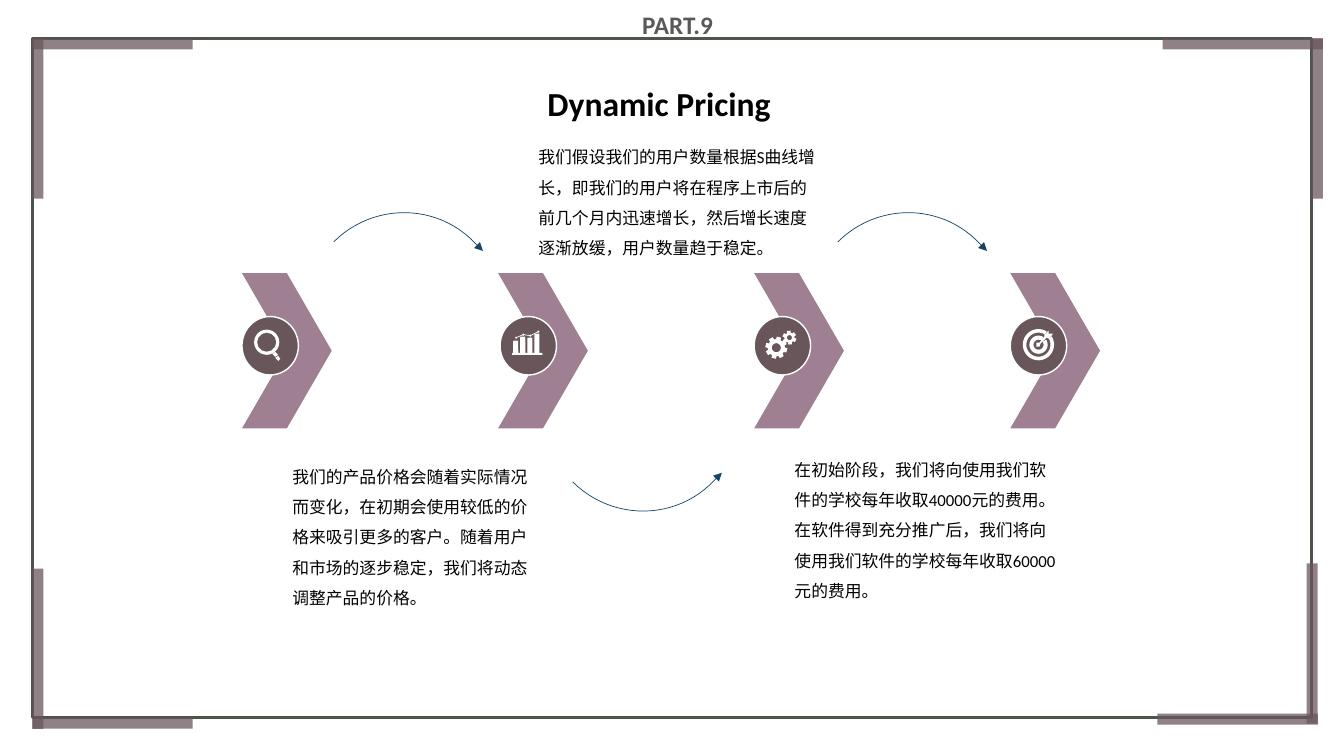
from math import cos, sin, radians
from lxml.etree import SubElement as Sub
from pptx import Presentation
from pptx.dml.color import RGBColor as RGB
from pptx.enum.shapes import MSO_SHAPE as Kind
from pptx.enum.text import MSO_ANCHOR as Anchor, MSO_AUTO_SIZE as Fit, PP_ALIGN as Align
from pptx.oxml.ns import qn
from pptx.util import Inches, Pt

HUES = {"frame": "4C544C", "dark": "69565B", "mauve": "9F7F92", "white": "FFFFFF",
        "arrow": "12456B", "grey": "595959", "black": "000000"}


def paint(shape, fill=None, line=None, width=1):
    shape.shadow.inherit = False
    if fill:
        shape.fill.solid()
        shape.fill.fore_color.rgb = RGB.from_string(HUES[fill])
    else:
        shape.fill.background()
    if line:
        shape.line.color.rgb = RGB.from_string(HUES[line])
        shape.line.width = Pt(width)
    else:
        shape.line.fill.background()
    return shape


def arc(x, y, r, start=0, end=360):
    turns = [radians(start + (end - start) * i / 36) for i in range(37)]
    return [(x + r * cos(t), y + r * sin(t)) for t in turns]


deck = Presentation()
deck.slide_width, deck.slide_height = Inches(13.33), Inches(7.5)
slide = deck.slides.add_slide(deck.slide_layouts[5])
shapes = slide.shapes

# Frame and its corner bars
frame = shapes.add_shape(Kind.RECTANGLE, Inches(0.32), Inches(0.38), Inches(12.69), Inches(6.74))
paint(frame, line="frame", width=2.5)
LONG, THIN = 1.59, 0.11
corners = [(0.32, 0.38, 0.32, 0.38), (11.53, 0.38, 13.01, 0.38),
           (0.32, 7.12, 0.32, 5.64), (11.48, 7.08, 12.96, 5.59)]
for flat_x, flat_y, tall_x, tall_y in corners:
    for x, y, w, h in [(flat_x, flat_y, LONG, THIN), (tall_x, tall_y, THIN, LONG)]:
        bar = shapes.add_shape(Kind.RECTANGLE, Inches(x), Inches(y), Inches(w), Inches(h))
        paint(bar, "dark")
        hue = bar.fill._xPr.find(qn("a:solidFill"))[0]
        Sub(hue, qn("a:alpha")).set("val", "74000")

# Chevrons, then the discs on them
for i in range(4):
    step = shapes.add_shape(Kind.CHEVRON, Inches(2.4 + 2.54 * i), Inches(2.71),
                            Inches(0.89), Inches(1.54))
    step.adjustments[0] = 0.5
    paint(step, "mauve")
for x in (2.4, 4.96, 7.48, 10.02):
    disc = shapes.add_shape(Kind.OVAL, Inches(x), Inches(3.14), Inches(0.56), Inches(0.58))
    paint(disc, "dark", "white")

# Outlines: points, fill, line, line width, arrowhead
outlines = []

# Curved arrows; the middle one is flipped
bend = [(0, 0.29), (0.39, -0.1), (1.03, -0.1), (1.41, 0.31)]
for left, base, side in [(3.31, 2.11, 1), (8.31, 2.11, 1), (5.68, 5.07, -1)]:
    curve = []
    for i in range(25):
        t = i / 24
        mix = ((1 - t) ** 3, 3 * t * (1 - t) ** 2, 3 * t * t * (1 - t), t ** 3)
        curve.append([sum(m * p[k] for m, p in zip(mix, bend)) for k in (0, 1)])
    curve.append((1.48, 0.38))
    points = [(left + x, base + side * y) for x, y in curve]
    outlines.append((points, None, "arrow", 0.5, True))

# Target: open rings and a dart
for big, small, gap in [(0.155, 0.12, 13), (0.09, 0.05, 10)]:
    span = (-45 + gap, 315 - gap)
    ring = arc(10.3, 3.42, big, *span) + arc(10.3, 3.42, small, *span)[::-1]
    outlines.append((ring, "white", None, 0, False))
dart = [(10.36, 3.32), (10.4, 3.28), (10.4, 3.31), (10.44, 3.31), (10.44, 3.32), (10.4, 3.36),
        (10.38, 3.35), (10.32, 3.41), (10.31, 3.44), (10.28, 3.44), (10.28, 3.4),
        (10.31, 3.4), (10.36, 3.34)]
outlines.append((dart, "white", None, 0, False))

# Gears: toothed rim and a round hole
for x, y, tip, root, hole, teeth in [(7.83, 3.35, 0.07, 0.05, 0.025, 6),
                                     (7.7, 3.45, 0.11, 0.085, 0.045, 8)]:
    rim = []
    for i in range(teeth):
        for part, r in [(0, root), (0.3, root), (0.4, tip), (0.9, tip), (1, root)]:
            t = radians(360 * (i + part) / teeth - 15)
            rim.append((x + r * cos(t), y + r * sin(t)))
    gear = rim + arc(x, y, hole, -15, 345)[::-1]
    outlines.append((gear, "white", None, 0, False))

# Handle of the magnifier and trend of the bar icon
for grip in ([(2.7, 3.51), (2.73, 3.49), (2.76, 3.52), (2.73, 3.54)],
             [(2.73, 3.55), (2.76, 3.53), (2.78, 3.56), (2.76, 3.58)]):
    outlines.append((grip, "white", None, 0, False))
trend = [(5.12, 3.35), (5.19, 3.32), (5.26, 3.33), (5.34, 3.29)]
outlines.append((trend, None, "white", 0.5, False))

for points, fill, line, width, head in outlines:
    spots = [(Inches(x), Inches(y)) for x, y in points]
    pen = shapes.build_freeform(*spots[0])
    pen.add_line_segments(spots[1:], close=bool(fill))
    form = paint(pen.convert_to_shape(), fill, line, width)
    if head:
        Sub(form.line._get_or_add_ln(), qn("a:tailEnd")).set("type", "triangle")

# Lens, bars and trend dots
lens = shapes.add_shape(Kind.DONUT, Inches(2.52), Inches(3.27), Inches(0.25), Inches(0.25))
lens.adjustments[0] = 0.12
paint(lens, "white")
parts = [(Kind.RECTANGLE, 5.08, 3.5, 0.3, 0.02)]
for i, top in enumerate((3.38, 3.34, 3.35, 3.31)):
    parts.append((Kind.ROUNDED_RECTANGLE, 5.09 + 0.07 * i, top, 0.05, 3.51 - top))
for x, y in trend:
    parts.append((Kind.OVAL, x - 0.01, y - 0.01, 0.02, 0.02))
for kind, *box in parts:
    paint(shapes.add_shape(kind, *map(Inches, box)), "white")

# Texts
BODY = {"size": Pt(12), "bold": False}
texts = [
    ("PART.9", (6.32, 0.04, 2, 0.4), {"size": Pt(18), "bold": True}, "grey"),
    ("我们的产品价格会随着实际情况而变化，在初期会使用较低的价格来吸引更多的客户。"
     "随着用户和市场的逐步稳定，我们将动态调整产品的价格。",
     (2.85, 4.48, 2.44, 1.11), BODY, "black"),
    ("我们假设我们的用户数量根据S曲线增长，即我们的用户将在程序上市后的前几个月内迅速增长，"
     "然后增长速度逐渐放缓，用户数量趋于稳定。",
     (5.29, 1.31, 2.89, 1.1), BODY, "black"),
    ("在初始阶段，我们将向使用我们软件的学校每年收取40000元的费用。在软件得到充分推广后，"
     "我们将向使用我们软件的学校每年收取60000元的费用。",
     (7.83, 4.41, 2.75, 1.11), BODY, "black"),
    ("Dynamic Pricing", (5.38, 0.77, 3.56, 0.37), {"size": Pt(24), "bold": True}, "black"),
]
for words, box, style, hue in texts:
    title = words == "Dynamic Pricing"
    place = [Inches(n) for n in box]
    note = shapes.title if title else shapes.add_textbox(*place)
    note.left, note.top, note.width, note.height = place
    body = note.text_frame
    look = {"word_wrap": not title, "auto_size": Fit.NONE, "vertical_anchor": Anchor.TOP}
    for side in ("left", "right", "top", "bottom"):
        look["margin_" + side] = Inches(0.05)
    for name, value in look.items():
        setattr(body, name, value)
    body.text = words
    para = body.paragraphs[0]
    para.alignment = Align.JUSTIFY if title else Align.LEFT
    if style is BODY:
        para.line_spacing = 1.5
    font = para.runs[0].font
    for name, value in {"name": "Calibri", **style}.items():
        setattr(font, name, value)
    font.color.rgb = RGB.from_string(HUES[hue])

deck.save("out.pptx")
